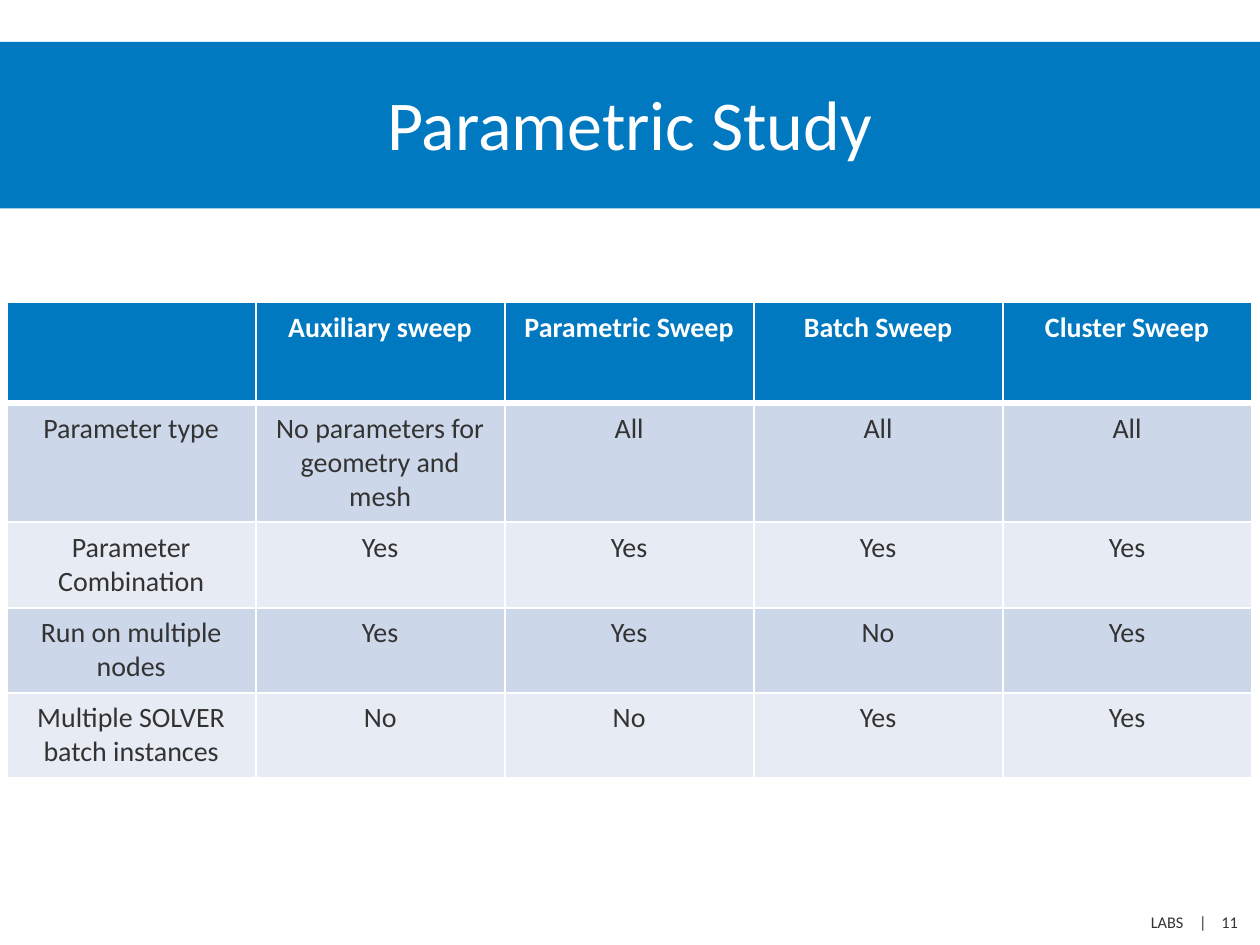
from lxml import etree
from pptx import Presentation
from pptx.dml.color import RGBColor
from pptx.enum.text import MSO_ANCHOR as Anchor, MSO_AUTO_SIZE as AutoSize, PP_ALIGN as Align
from pptx.oxml.ns import qn
from pptx.util import Inches, Pt

# Content
TITLE = "Parametric Study"
FOOTER = "LABS\t|\t11"
ROWS = [
    ("", "Auxiliary sweep", "Parametric Sweep", "Batch Sweep", "Cluster Sweep"),
    ("Parameter type", "No parameters for geometry and mesh", "All", "All", "All"),
    ("Parameter Combination", "Yes", "Yes", "Yes", "Yes"),
    ("Run on multiple nodes", "Yes", "Yes", "No", "Yes"),
    ("Multiple SOLVER batch instances", "No", "No", "Yes", "Yes"),
]
SLIDE_WIDTH = 7.5
SLIDE_HEIGHT = SLIDE_WIDTH * 3 / 4
ROW_HEIGHTS = [0.6, 0.7, 0.5, 0.5, 0.5]
TABLE_LEFT, TABLE_TOP, TABLE_WIDTH = 0.04, 1.8, 7.41
FOOTER_TABS = [("ctr", 0.31), ("l", 0.42)]

# Style
FONT = "Calibri"
BLUE = RGBColor(0x00, 0x79, 0xC1)
WHITE = RGBColor(0xFF, 0xFF, 0xFF)
DARK = RGBColor(0x33, 0x33, 0x33)
BANDS = [RGBColor(0xE7, 0xEC, 0xF4), RGBColor(0xCC, 0xD7, 0xE9)]


def style(paragraph, size, color, align, bold=False):
    paragraph.alignment = align
    for run in paragraph.runs:
        run.font.name = FONT
        run.font.size = Pt(size)
        run.font.bold = bold
        run.font.color.rgb = color


def set_borders(cell, top, bottom):
    properties = cell._tc.get_or_add_tcPr()
    for side, width in (("L", 1), ("R", 1), ("T", top), ("B", bottom)):
        line = etree.SubElement(properties, qn(f"a:ln{side}"), w=str(Pt(width)))
        fill = etree.SubElement(line, qn("a:solidFill"))
        etree.SubElement(fill, qn("a:srgbClr"), val=str(WHITE))


presentation = Presentation()
presentation.slide_width = Inches(SLIDE_WIDTH)
presentation.slide_height = Inches(SLIDE_HEIGHT)
slide = presentation.slides.add_slide(presentation.slide_layouts[5])

# Title band
title = slide.shapes.title
title.left, title.top = Inches(0), Inches(0.25)
title.width, title.height = Inches(SLIDE_WIDTH), Inches(0.99)
title.fill.solid()
title.fill.fore_color.rgb = BLUE
frame = title.text_frame
frame.text = TITLE
frame.auto_size = AutoSize.NONE
frame.vertical_anchor = Anchor.MIDDLE
frame.margin_left = frame.margin_right = Inches(0.1)
frame.margin_top, frame.margin_bottom = Inches(0.13), Inches(0.05)
frame.paragraphs[0].line_spacing = Pt(28)
style(frame.paragraphs[0], 30, WHITE, Align.CENTER)

# Sweep comparison table
table = slide.shapes.add_table(
    len(ROWS), len(ROWS[0]), Inches(TABLE_LEFT), Inches(TABLE_TOP),
    Inches(TABLE_WIDTH), Inches(sum(ROW_HEIGHTS))).table
for row_index, (values, height) in enumerate(zip(ROWS, ROW_HEIGHTS)):
    table.rows[row_index].height = Inches(height)
    header = row_index == 0
    for column_index, value in enumerate(values):
        cell = table.cell(row_index, column_index)
        cell.text = value
        style(cell.text_frame.paragraphs[0], 12, WHITE if header else DARK,
              Align.CENTER, bold=header)
        set_borders(cell, top=3 if row_index == 1 else 1, bottom=3 if header else 1)
        cell.fill.solid()
        cell.fill.fore_color.rgb = BLUE if header else BANDS[row_index % 2]

# Footer with page number
footer = slide.shapes.add_textbox(Inches(6.85), Inches(5.43), Inches(0.55), Inches(0.12))
frame = footer.text_frame
frame.margin_left = frame.margin_right = frame.margin_top = frame.margin_bottom = 0
frame.vertical_anchor = Anchor.MIDDLE
frame.word_wrap = True
frame.text = FOOTER
paragraph = frame.paragraphs[0]
tab_list = etree.SubElement(paragraph._p.get_or_add_pPr(), qn("a:tabLst"))
for align, position in FOOTER_TABS:
    etree.SubElement(tab_list, qn("a:tab"), pos=str(Inches(position)), algn=align)
style(paragraph, 7, DARK, Align.LEFT)

presentation.save("out.pptx")
